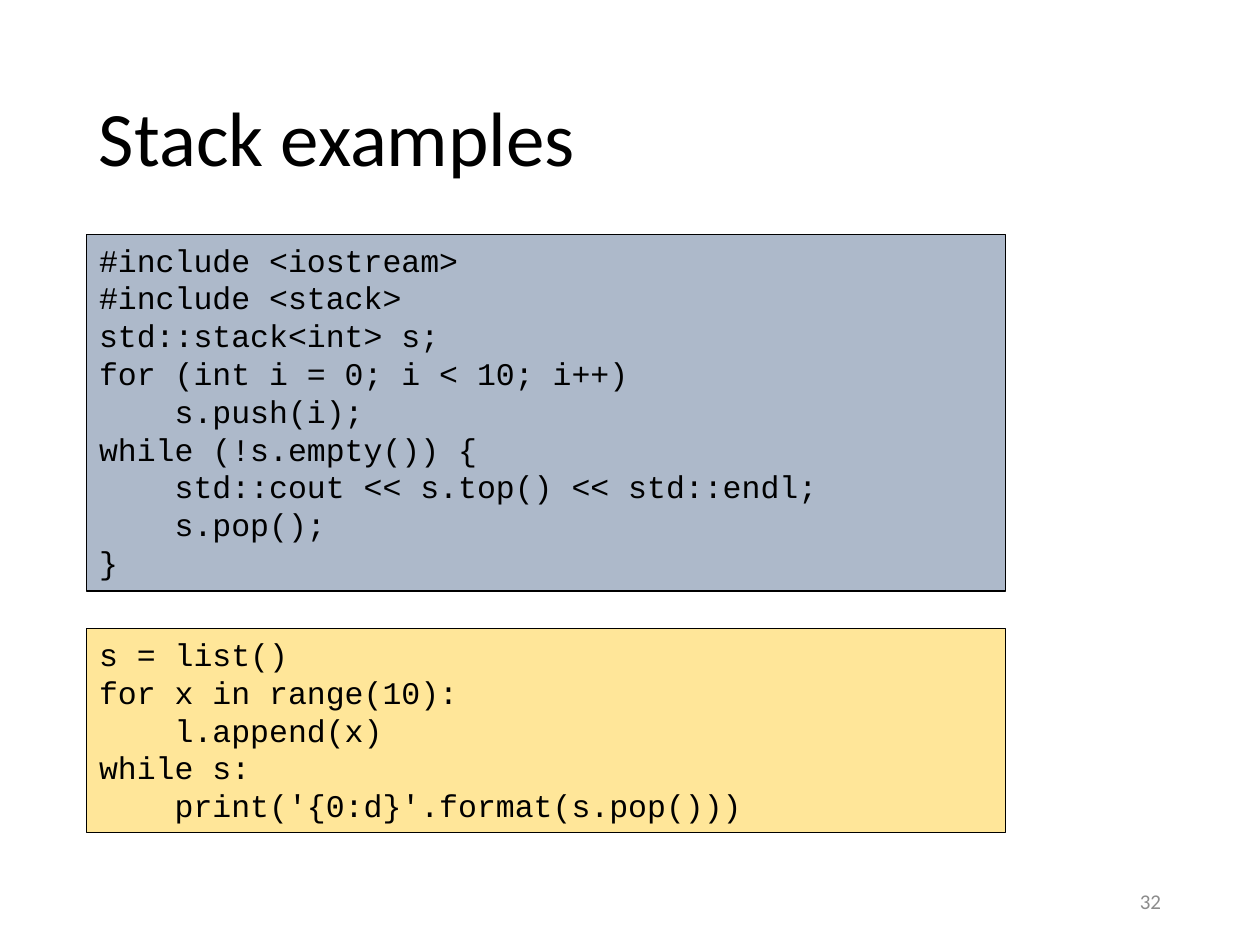
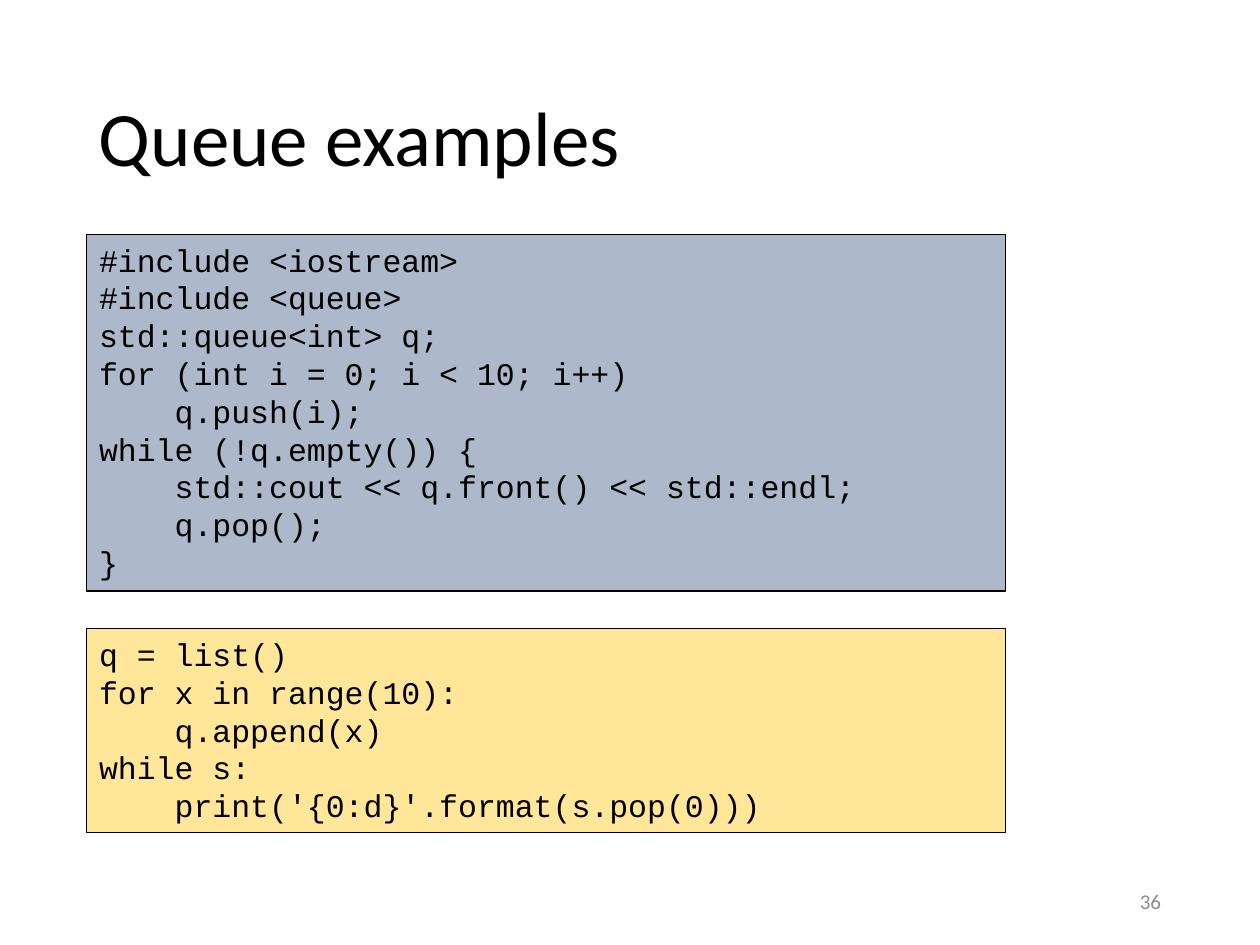
"""Build two slides that compare stack and queue code in C++ and Python."""
import pptx
import pptx.dml.color
import pptx.enum.shapes
import pptx.enum.text
import pptx.util

Pt = pptx.util.Pt
RGBColor = pptx.dml.color.RGBColor
Anchor = pptx.enum.text.MSO_ANCHOR
Align = pptx.enum.text.PP_ALIGN

SLIDES = [
    {
        "title": "Stack examples",
        "number": "32",
        "cpp": [
            (0, "#include <iostream>"),
            (0, "#include <stack>"),
            (0, "std::stack<int> s;"),
            (0, "for (int i = 0; i < 10; i++)"),
            (1, "s.push(i);"),
            (0, "while (!s.empty()) {"),
            (1, "std::cout << s.top() << std::endl;"),
            (1, "s.pop();"),
            (0, "}"),
        ],
        "python": [
            (0, "s = list()"),
            (0, "for x in range(10):"),
            (1, "l.append(x)"),
            (0, "while s:"),
            (1, "print('{0:d}'.format(s.pop()))"),
        ],
    },
    {
        "title": "Queue examples",
        "number": "36",
        "cpp": [
            (0, "#include <iostream>"),
            (0, "#include <queue>"),
            (0, "std::queue<int> q;"),
            (0, "for (int i = 0; i < 10; i++)"),
            (1, "q.push(i);"),
            (0, "while (!q.empty()) {"),
            (1, "std::cout << q.front() << std::endl;"),
            (1, "q.pop();"),
            (0, "}"),
        ],
        "python": [
            (0, "q = list()"),
            (0, "for x in range(10):"),
            (1, "q.append(x)"),
            (0, "while s:"),
            (1, "print('{0:d}'.format(s.pop(0)))"),
        ],
    },
]

BLACK = RGBColor(0x00, 0x00, 0x00)
GREY = RGBColor(0x8C, 0x8C, 0x8C)
FILLS = {"cpp": RGBColor(0xAD, 0xB9, 0xCA), "python": RGBColor(0xFF, 0xE6, 0x99)}

BODY_FONT, CODE_FONT = "Calibri", "Courier New"
LEFT, CONTENT_WIDTH = 49.5, 621
CODE_TOP, CODE_WIDTH, CODE_GAP = 134, 525, 21.5
LINE_HEIGHT, BOX_PADDING = 21.8, 7.6
INDENT = 43.2
NUMBER_WIDTH = 162


def add_run(paragraph, text, font, size, color):
    run = paragraph.add_run()
    run.text = text
    run.font.name = font
    run.font.size = Pt(size)
    run.font.color.rgb = color


def add_label(slide, bounds, text, size, color, alignment, spacing):
    shape = slide.shapes.add_textbox(*map(Pt, bounds))
    shape.text_frame.word_wrap = True
    shape.text_frame.vertical_anchor = Anchor.MIDDLE
    paragraph = shape.text_frame.paragraphs[0]
    paragraph.alignment = alignment
    paragraph.line_spacing = spacing
    add_run(paragraph, text, BODY_FONT, size, color)


def add_code(slide, top, lines, fill):
    height = len(lines) * LINE_HEIGHT + BOX_PADDING
    shape = slide.shapes.add_shape(
        pptx.enum.shapes.MSO_SHAPE.RECTANGLE,
        *map(Pt, (LEFT, top, CODE_WIDTH, height)))
    shape.shadow.inherit = False
    shape.fill.solid()
    shape.fill.fore_color.rgb = fill
    shape.line.color.rgb = BLACK
    shape.line.width = Pt(0.75)
    frame = shape.text_frame
    frame.word_wrap = True
    frame.vertical_anchor = Anchor.TOP
    frame.auto_size = pptx.enum.text.MSO_AUTO_SIZE.SHAPE_TO_FIT_TEXT
    for index, (level, text) in enumerate(lines):
        paragraph = frame.add_paragraph() if index else frame.paragraphs[0]
        paragraph.alignment = Align.LEFT
        paragraph._p.get_or_add_pPr().set("marL", str(Pt(level * INDENT)))
        add_run(paragraph, text, CODE_FONT, 18, BLACK)
    return top + height


presentation = pptx.Presentation()
presentation.slide_width, presentation.slide_height = Pt(720), Pt(540)

for content in SLIDES:
    slide = presentation.slides.add_slide(presentation.slide_layouts[6])
    add_label(slide, (LEFT, 28.75, CONTENT_WIDTH, 104.4),
              content["title"], 44, BLACK, Align.LEFT, 0.9)
    add_label(slide, (LEFT + CONTENT_WIDTH - NUMBER_WIDTH, 500.5, NUMBER_WIDTH, 28.75),
              content["number"], 12, GREY, Align.RIGHT, 1.0)
    top = CODE_TOP
    for language, fill in FILLS.items():
        top = add_code(slide, top, content[language], fill) + CODE_GAP

presentation.save("out.pptx")
